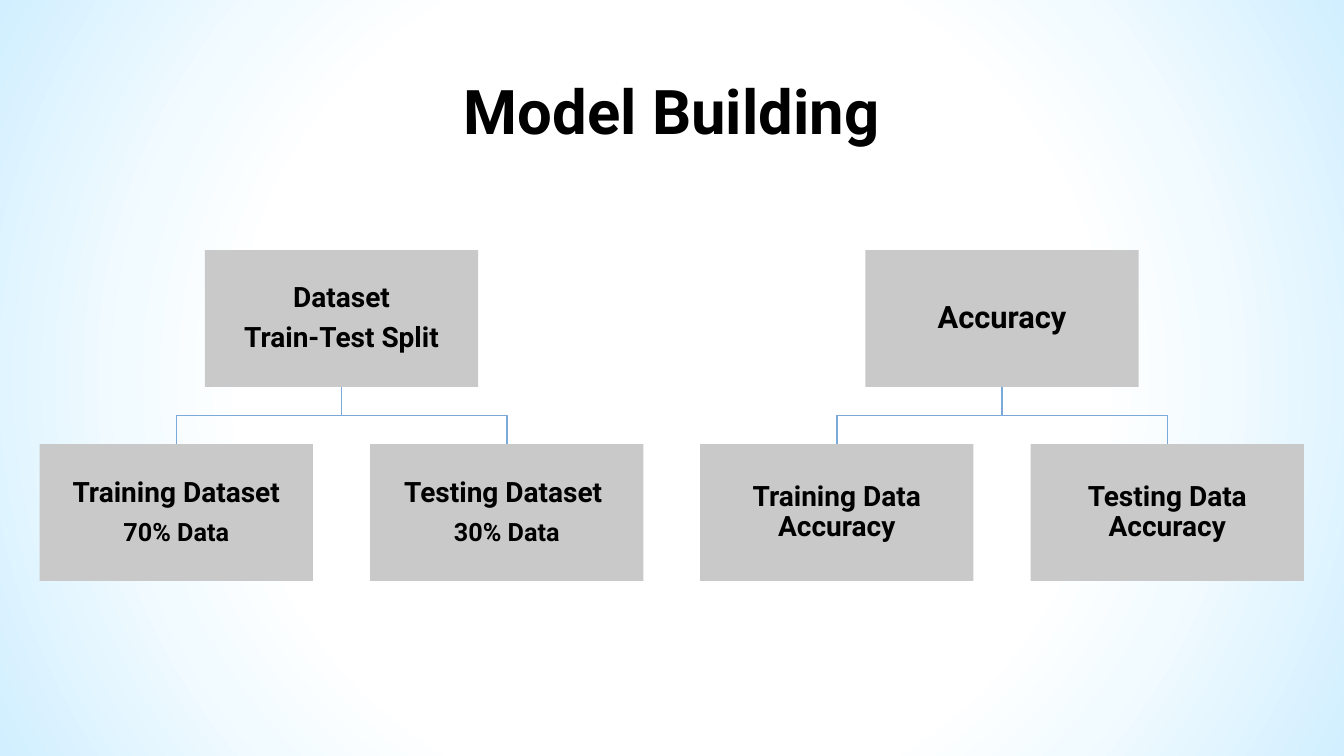
from dataclasses import dataclass

from pptx import Presentation
from pptx.dml.color import RGBColor
from pptx.enum.shapes import MSO_SHAPE
from pptx.enum.text import MSO_ANCHOR, PP_ALIGN
from pptx.oxml import parse_xml
from pptx.oxml.ns import nsdecls, qn
from pptx.slide import Slide
from pptx.text.text import TextFrame
from pptx.util import Pt


@dataclass(frozen=True)
class Theme:
    font: str = "Roboto"
    text: RGBColor = RGBColor(0x00, 0x00, 0x00)
    box: RGBColor = RGBColor(0xC9, 0xC9, 0xC9)
    branch: RGBColor = RGBColor(0x7A, 0xA9, 0xDA)
    glow: tuple = ((55, "FFFFFF"), (71, "F2FBFF"), (100, "D1EFFF"))
    title: int = 44
    heading: int = 22
    body: int = 20
    detail: int = 18


@dataclass(frozen=True)
class Line:
    text: str
    size: int


@dataclass(frozen=True)
class Tree:
    center: float
    root: tuple[Line, ...]
    children: tuple[tuple[Line, ...], ...]


THEME = Theme()
SLIDE_W, SLIDE_H = 960, 540
BOX_W, BOX_H = 195.2, 97.6
ROOT_TOP, CHILD_TOP = 178.7, 317.3
CHILD_PITCH = 236.1
LINE_GAP = 7.5

TREES = (
    Tree(
        244,
        (Line("Dataset", THEME.body), Line("Train-Test Split", THEME.body)),
        (
            (Line("Training Dataset", THEME.body), Line("70% Data", THEME.detail)),
            (Line("Testing Dataset ", THEME.body), Line("30% Data", THEME.detail)),
        ),
    ),
    Tree(
        715.8,
        (Line("Accuracy", THEME.heading),),
        (
            (Line("Training Data Accuracy", THEME.body),),
            (Line("Testing Data Accuracy", THEME.body),),
        ),
    ),
)


def paint_background(slide: Slide) -> None:
    """Fill the slide with a circular gradient spreading from its centre."""
    slide.background.fill.solid()
    bg = slide.element.find(".//" + qn("p:bgPr"))
    stops = "".join(
        f'<a:gs pos="{pos * 1000}"><a:srgbClr val="{color}"/></a:gs>'
        for pos, color in THEME.glow
    )
    gradient = parse_xml(
        f'<a:gradFill {nsdecls("a")} rotWithShape="1"><a:gsLst>{stops}</a:gsLst>'
        '<a:path path="circle"><a:fillToRect l="50000" t="50000" r="50000" b="50000"/>'
        "</a:path></a:gradFill>"
    )
    bg.replace(bg[0], gradient)


def write_lines(tf: TextFrame, lines: tuple[Line, ...], margin: float) -> None:
    tf.word_wrap = True
    tf.vertical_anchor = MSO_ANCHOR.MIDDLE
    tf.margin_left = tf.margin_right = tf.margin_top = tf.margin_bottom = Pt(margin)
    tf.text = "\n".join(line.text for line in lines)
    for p, line in zip(tf.paragraphs, lines):
        p.alignment = PP_ALIGN.CENTER
        p.line_spacing = 0.9
        p.space_after = Pt(LINE_GAP if len(lines) > 1 else 0)
        font = p.runs[0].font
        font.name, font.size, font.bold = THEME.font, Pt(line.size), True
        font.color.rgb = THEME.text


def add_title(slide: Slide, text: str) -> None:
    sp = slide.shapes.add_textbox(Pt(66), Pt(29.5), Pt(828), Pt(104.4))
    write_lines(sp.text_frame, (Line(text, THEME.title),), 3.6)


def add_box(slide: Slide, center: float, top: float, lines: tuple[Line, ...]) -> None:
    sp = slide.shapes.add_shape(
        MSO_SHAPE.RECTANGLE, Pt(center - BOX_W / 2), Pt(top), Pt(BOX_W), Pt(BOX_H)
    )
    sp.shadow.inherit = False
    sp.fill.solid()
    sp.fill.fore_color.rgb = THEME.box
    sp.line.fill.background()
    write_lines(sp.text_frame, lines, 1)


def add_branch(slide: Slide, root_x: float, child_x: float) -> None:
    """Draw the stepped line from a root box down to one child box."""
    top = ROOT_TOP + BOX_H
    middle = (top + CHILD_TOP) / 2
    builder = slide.shapes.build_freeform(Pt(root_x), Pt(top))
    corners = ((root_x, middle), (child_x, middle), (child_x, CHILD_TOP))
    builder.add_line_segments([(Pt(x), Pt(y)) for x, y in corners], close=False)
    sp = builder.convert_to_shape()
    sp.shadow.inherit = False
    sp.fill.background()
    sp.line.color.rgb = THEME.branch
    sp.line.width = Pt(1)


def add_tree(slide: Slide, tree: Tree) -> None:
    first = tree.center - CHILD_PITCH * (len(tree.children) - 1) / 2
    centers = [first + i * CHILD_PITCH for i in range(len(tree.children))]
    for x in reversed(centers):
        add_branch(slide, tree.center, x)
    add_box(slide, tree.center, ROOT_TOP, tree.root)
    for x, lines in zip(centers, tree.children):
        add_box(slide, x, CHILD_TOP, lines)


def main() -> None:
    prs = Presentation()
    prs.slide_width, prs.slide_height = Pt(SLIDE_W), Pt(SLIDE_H)
    slide = prs.slides.add_slide(prs.slide_layouts[6])
    paint_background(slide)
    add_title(slide, "Model Building")
    for tree in TREES:
        add_tree(slide, tree)
    prs.save("out.pptx")


if __name__ == "__main__":
    main()
